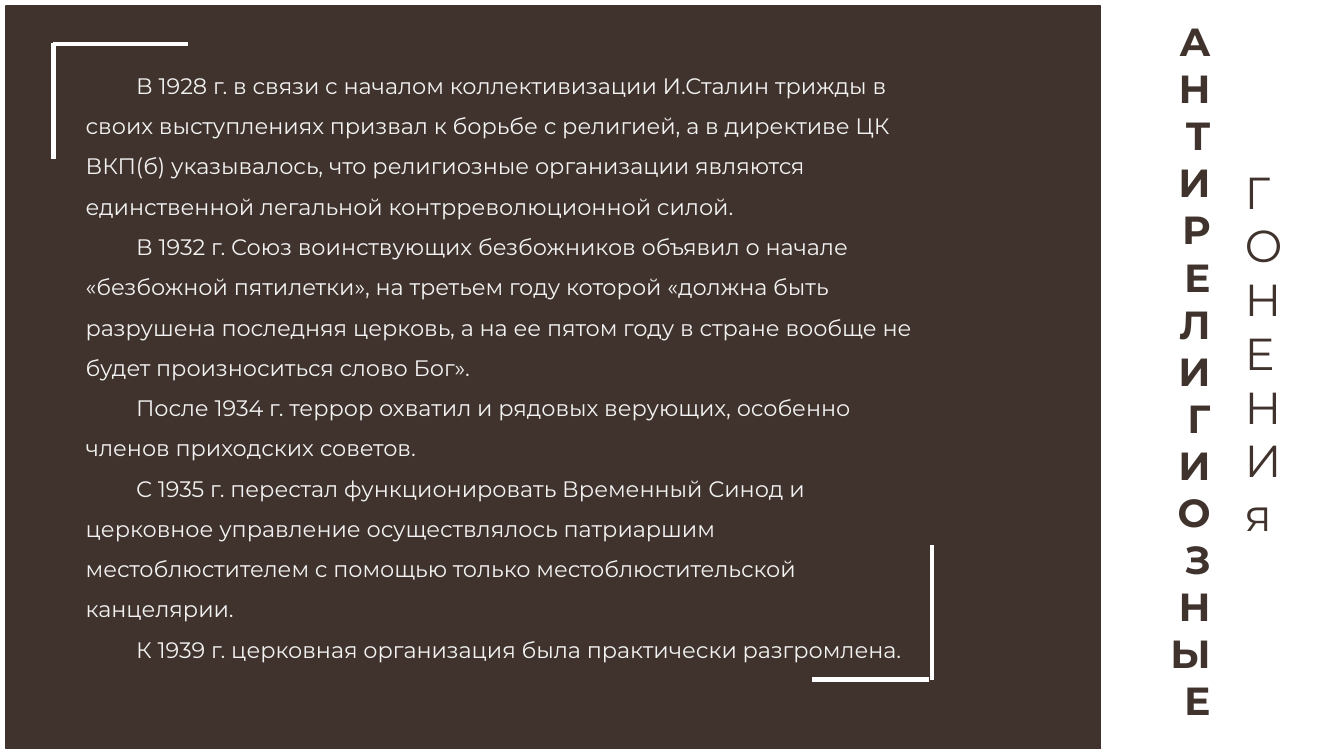
"""Build the slide on anti-religious persecution."""
from copy import deepcopy
from dataclasses import dataclass

from lxml import etree
from pptx import Presentation
from pptx.dml.color import RGBColor
from pptx.enum import shapes, text
from pptx.oxml.ns import qn
from pptx.util import Pt

INK = {"brown": "40332D", "white": "FFFFFF", "pale": "F2F2F2"}
FACE = "Montserrat"
TITLE = "АНТИРЕЛИГИОЗНЫЕ"
SIDE = "ГОНЕНИя"
STORY = [
    "В 1928 г. в связи с началом коллективизации И.Сталин трижды в своих выступлениях призвал "
    "к борьбе с религией, а в директиве ЦК ВКП(б) указывалось, что религиозные организации "
    "являются единственной легальной контрреволюционной силой.",
    "В 1932 г. Союз воинствующих безбожников объявил о начале «безбожной пятилетки», на третьем "
    "году которой «должна быть разрушена последняя церковь, а на ее пятом году в стране вообще "
    "не будет произноситься слово Бог».",
    "После 1934 г. террор охватил и рядовых верующих, особенно членов приходских советов.",
    "С 1935 г. перестал функционировать Временный Синод и церковное управление осуществлялось "
    "патриаршим местоблюстителем с помощью только местоблюстительской канцелярии.",
    "К 1939 г. церковная организация была практически разгромлена.",
]


@dataclass
class Stroke:
    """One arm of a corner bracket, in points."""
    x1: float
    y1: float
    x2: float
    y2: float


STROKES = [
    Stroke(38.2, 31, 38.2, 113.8),
    Stroke(38.2, 31.7, 134.6, 31.7),
    Stroke(580.3, 485.3, 663.8, 485.3),
    Stroke(666, 486, 666, 389.5),
]


def color(name: str) -> RGBColor:
    """Look up a colour by name."""
    return RGBColor.from_string(INK[name])


def place(item, left: float, top: float, width: float, height: float) -> None:
    """Set the box of a shape in points."""
    item.left, item.top = Pt(left), Pt(top)
    item.width, item.height = Pt(width), Pt(height)


def write(frame, lines: list[str], *, size: float, ink: str, bold: bool = False,
          align=text.PP_ALIGN.LEFT, space: float = 1, indent: float = 0,
          track: float = 0) -> None:
    """Fill a text frame with formatted paragraphs."""
    frame.auto_size = text.MSO_AUTO_SIZE.NONE
    for index, line in enumerate(lines):
        para = frame.paragraphs[0] if index == 0 else frame.add_paragraph()
        para.text = line
        props = para._p.get_or_add_pPr()
        props.set("marL", "0")
        props.set("indent", str(int(Pt(indent))))
        etree.SubElement(props, qn("a:buNone"))
        para.alignment, para.line_spacing = align, space
        para.space_before = para.space_after = Pt(0)
        for run in para.runs:
            font = run.font
            font.name, font.size, font.bold = FACE, Pt(size), bold
            font.color.rgb = color(ink)
            if track:
                run._r.get_or_add_rPr().set("spc", str(int(track * 100)))
        for gap in para._p.findall(qn("a:br")):
            gap.append(deepcopy(para.runs[0]._r.rPr))


def draw(slide, arm: Stroke) -> None:
    """Draw one white bracket arm."""
    line = slide.shapes.add_connector(
        shapes.MSO_CONNECTOR.STRAIGHT, Pt(arm.x1), Pt(arm.y1), Pt(arm.x2), Pt(arm.y2))
    line.line.color.rgb = color("white")
    line.line.width = Pt(3)
    etree.SubElement(line._element.spPr, qn("a:effectLst"))


def main() -> None:
    """Build and save the slide."""
    deck = Presentation()
    deck.slide_width, deck.slide_height = Pt(960), Pt(540)
    slide = deck.slides.add_slide(deck.slide_layouts[1])
    title, body = slide.shapes.title, slide.placeholders[1]

    panel = slide.shapes.add_shape(
        shapes.MSO_SHAPE.RECTANGLE, Pt(4.3), Pt(4.3), Pt(782), Pt(530.6))
    panel.shadow.inherit = False
    panel.fill.solid()
    panel.fill.fore_color.rgb = panel.line.color.rgb = color("brown")
    panel.line.width = Pt(1)

    slide.shapes._spTree.append(body._element)
    place(body, 54, 38.2, 609.8, 448.6)
    body.text_frame.vertical_anchor = text.MSO_ANCHOR.TOP
    write(body.text_frame, STORY, size=16, ink="pale", space=1.5, indent=36)

    for arm in STROKES:
        draw(slide, arm)

    slide.shapes._spTree.append(title._element)
    place(title, 521.3, 419, 343.4, 131.8)
    frame = title.text_frame
    frame.vertical_anchor = text.MSO_ANCHOR.BOTTOM
    frame.margin_left = frame.margin_right = frame.margin_top = Pt(0)
    frame.margin_bottom = Pt(34)
    write(frame, ["\v".join(TITLE)], size=28, ink="brown", bold=True,
          align=text.PP_ALIGN.RIGHT, track=-3)

    side = slide.shapes.add_textbox(Pt(882), Pt(113.8), Pt(41.8), Pt(278.6))
    side.text_frame.word_wrap = False
    write(side.text_frame, list(SIDE), size=32, ink="brown")

    deck.save("out.pptx")


if __name__ == "__main__":
    main()
